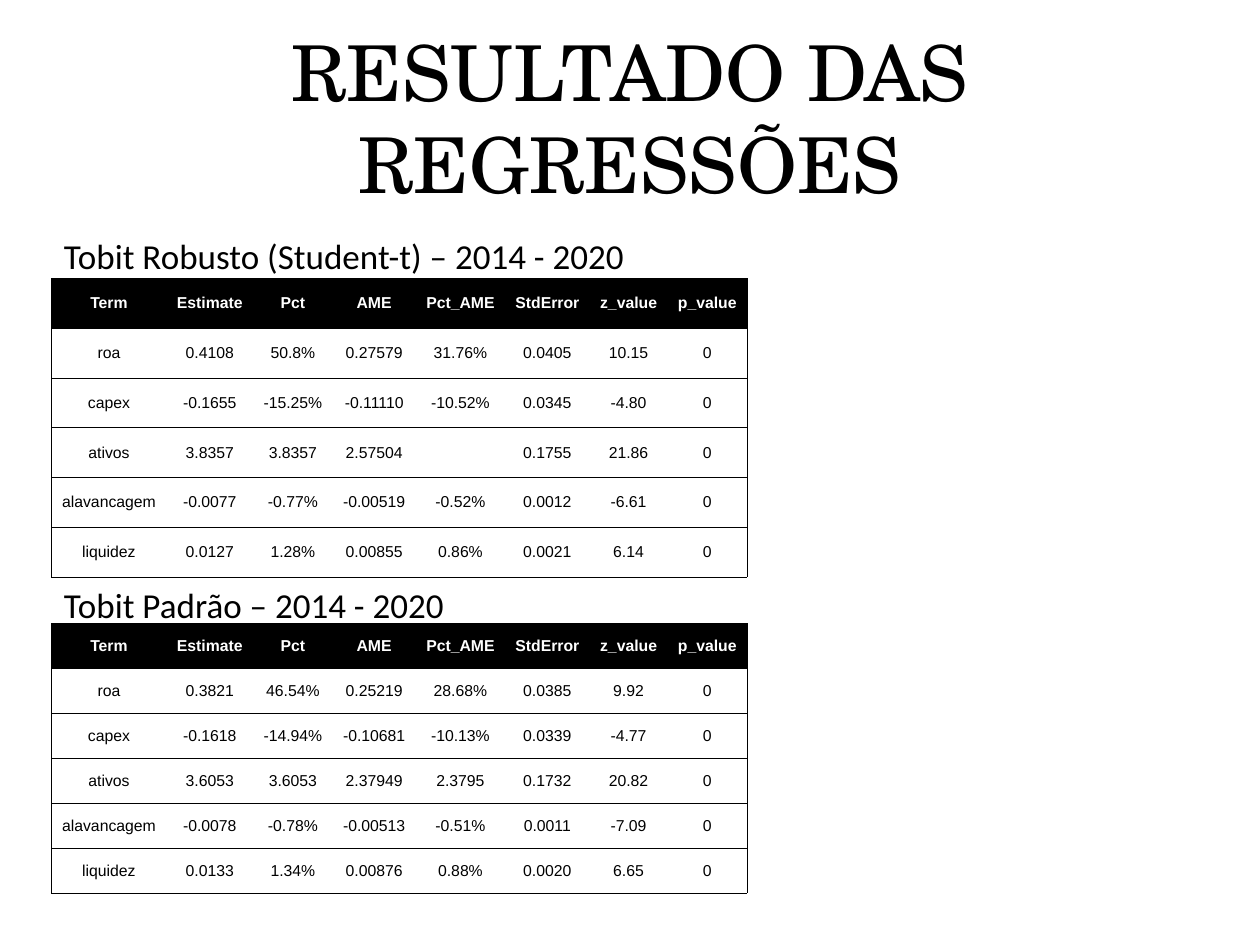
from pptx import Presentation
from pptx.dml.color import RGBColor
from pptx.enum.text import MSO_ANCHOR as Anchor, PP_ALIGN as Align
from pptx.oxml import parse_xml
from pptx.oxml.ns import nsdecls
from pptx.util import Inches, Pt

BLACK, WHITE = "000000", "FFFFFF"
NO_GRID = "{2D5ABB26-0587-4C30-8999-92F81FD0307C}"


def add_run(para, text, size, face, color, bold=False):
    run = para.add_run()
    run.text = text
    font = run.font
    font.size, font.name, font.bold = Pt(size), face, bold
    font.color.rgb = RGBColor.from_string(color)


def set_edge(cell, side, shown):
    paint = f'<a:solidFill><a:srgbClr val="{BLACK}"/></a:solidFill>' if shown else "<a:noFill/>"
    cell._tc.get_or_add_tcPr().append(parse_xml(
        f'<a:ln{side} {nsdecls("a")} w="{Pt(0.5)}">{paint}</a:ln{side}>'))


deck = Presentation()
deck.slide_width, deck.slide_height = Inches(10), Inches(7.5)
slide = deck.slides.add_slide(deck.slide_layouts[6])

# Title
box = slide.shapes.add_textbox(Inches(0.5), Inches(0.3), Inches(9), Inches(1.25))
frame = box.text_frame
frame.word_wrap = True
frame.vertical_anchor = Anchor.MIDDLE
para = frame.paragraphs[0]
para.alignment = Align.CENTER
add_run(para, "RESULTADO DAS REGRESSÕES", 44, "TeX Gyre Schola", BLACK)

# Regression results
left = Inches(0.41)
widths = [0.91, 0.69, 0.63, 0.66, 0.71, 0.67, 0.62, 0.63]
head = ["Term", "Estimate", "Pct", "AME", "Pct_AME", "StdError", "z_value", "p_value"]
robust = [
    ["roa", "0.4108", "50.8%", "0.27579", "31.76%", "0.0405", "10.15", "0"],
    ["capex", "-0.1655", "-15.25%", "-0.11110", "-10.52%", "0.0345", "-4.80", "0"],
    ["ativos", "3.8357", "3.8357", "2.57504", "", "0.1755", "21.86", "0"],
    ["alavancagem", "-0.0077", "-0.77%", "-0.00519", "-0.52%", "0.0012", "-6.61", "0"],
    ["liquidez", "0.0127", "1.28%", "0.00855", "0.86%", "0.0021", "6.14", "0"],
]
plain = [
    ["roa", "0.3821", "46.54%", "0.25219", "28.68%", "0.0385", "9.92", "0"],
    ["capex", "-0.1618", "-14.94%", "-0.10681", "-10.13%", "0.0339", "-4.77", "0"],
    ["ativos", "3.6053", "3.6053", "2.37949", "2.3795", "0.1732", "20.82", "0"],
    ["alavancagem", "-0.0078", "-0.78%", "-0.00513", "-0.51%", "0.0011", "-7.09", "0"],
    ["liquidez", "0.0133", "1.34%", "0.00876", "0.88%", "0.0020", "6.65", "0"],
]
# Heading, heading top, table top, table height, body rows
models = [
    ("Tobit Robusto (Student-t) – 2014 - 2020", 1.81, 2.21, 2.37, robust),
    ("Tobit Padrão – 2014 - 2020", 4.58, 4.95, 2.14, plain),
]

for label, label_top, top, height, body in models:
    # Heading above the table
    box = slide.shapes.add_textbox(left, Inches(label_top), Inches(9.53), Inches(0.74))
    box.text_frame.word_wrap = True
    add_run(box.text_frame.paragraphs[0], label, 20, "Calibri", BLACK)

    # Table grid
    rows = [head] + body
    holder = slide.shapes.add_table(len(rows), len(head), left, Inches(top),
                                    Inches(sum(widths)), Inches(height))
    table = holder.table
    table.horz_banding = False
    table._tbl.tblPr.find("{*}tableStyleId").text = NO_GRID
    for col, width in zip(table.columns, widths):
        col.width = Inches(width)
    for row in table.rows:
        row.height = Inches(height / len(rows))

    # Cells: frame and row rules, black header
    for r, row in enumerate(rows):
        for c, text in enumerate(row):
            cell = table.cell(r, c)
            cell.margin_left = cell.margin_right = 0
            cell.margin_top = cell.margin_bottom = 0
            cell.vertical_anchor = Anchor.MIDDLE
            set_edge(cell, "L", c == 0)
            set_edge(cell, "R", c == len(head) - 1)
            set_edge(cell, "T", True)
            set_edge(cell, "B", True)
            cell.fill.solid()
            cell.fill.fore_color.rgb = RGBColor.from_string(WHITE if r else BLACK)
            para = cell.text_frame.paragraphs[0]
            para.alignment = Align.CENTER
            for side in ("marL", "marR"):
                para._p.get_or_add_pPr().set(side, str(Inches(0.07)))
            if text:
                add_run(para, text, 9, "Arial", BLACK if r else WHITE, r == 0)

deck.save("out.pptx")
